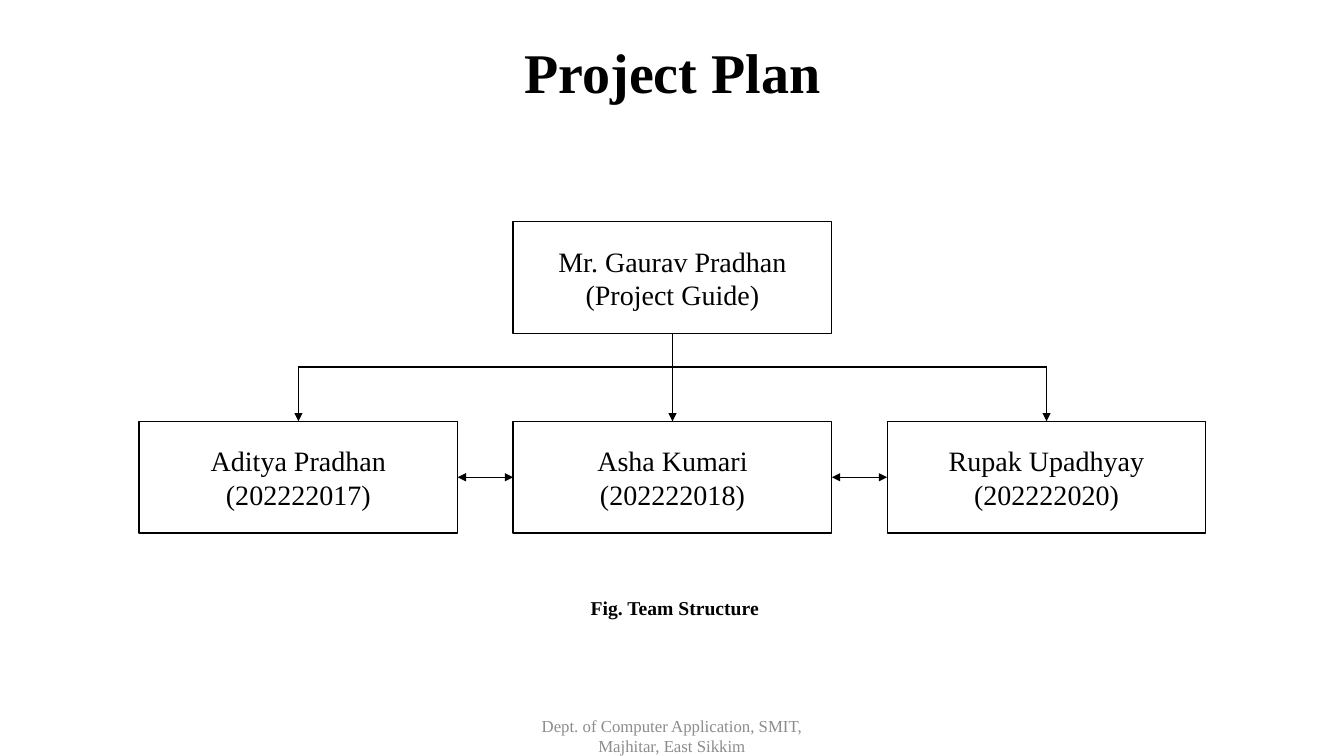
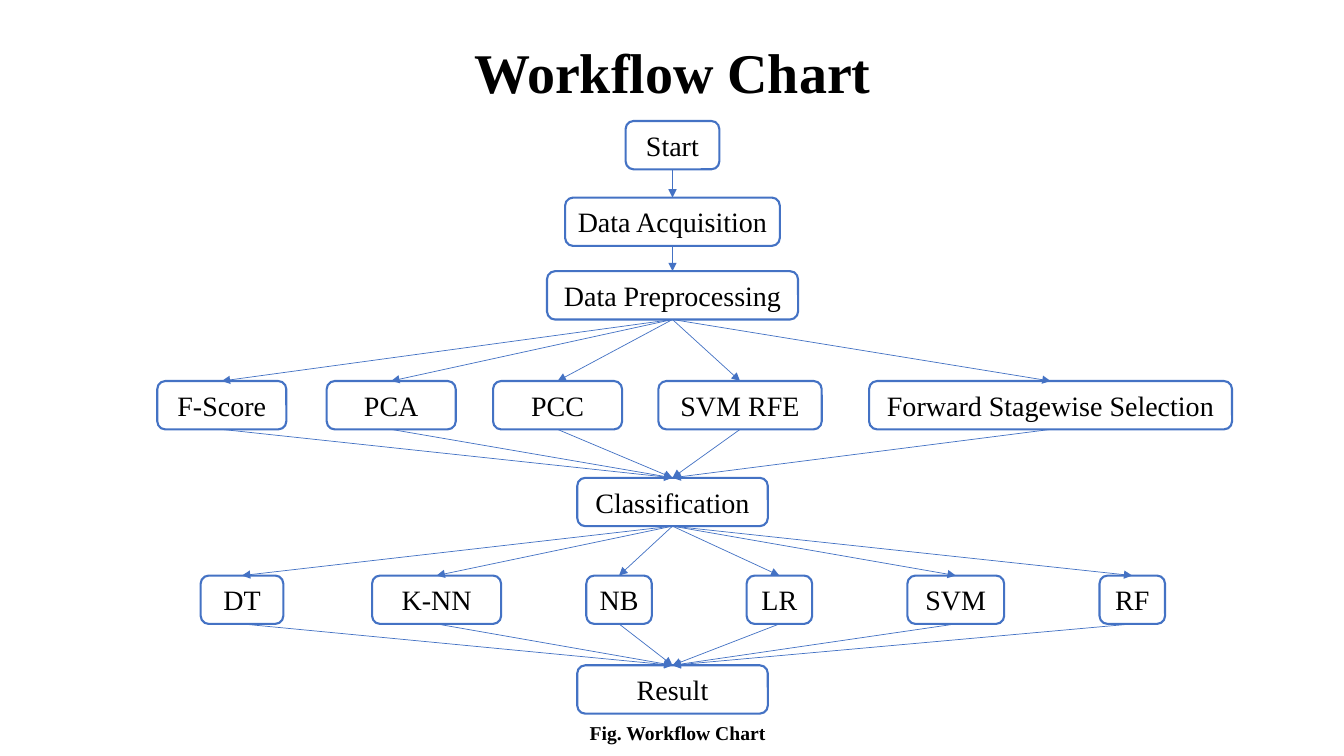
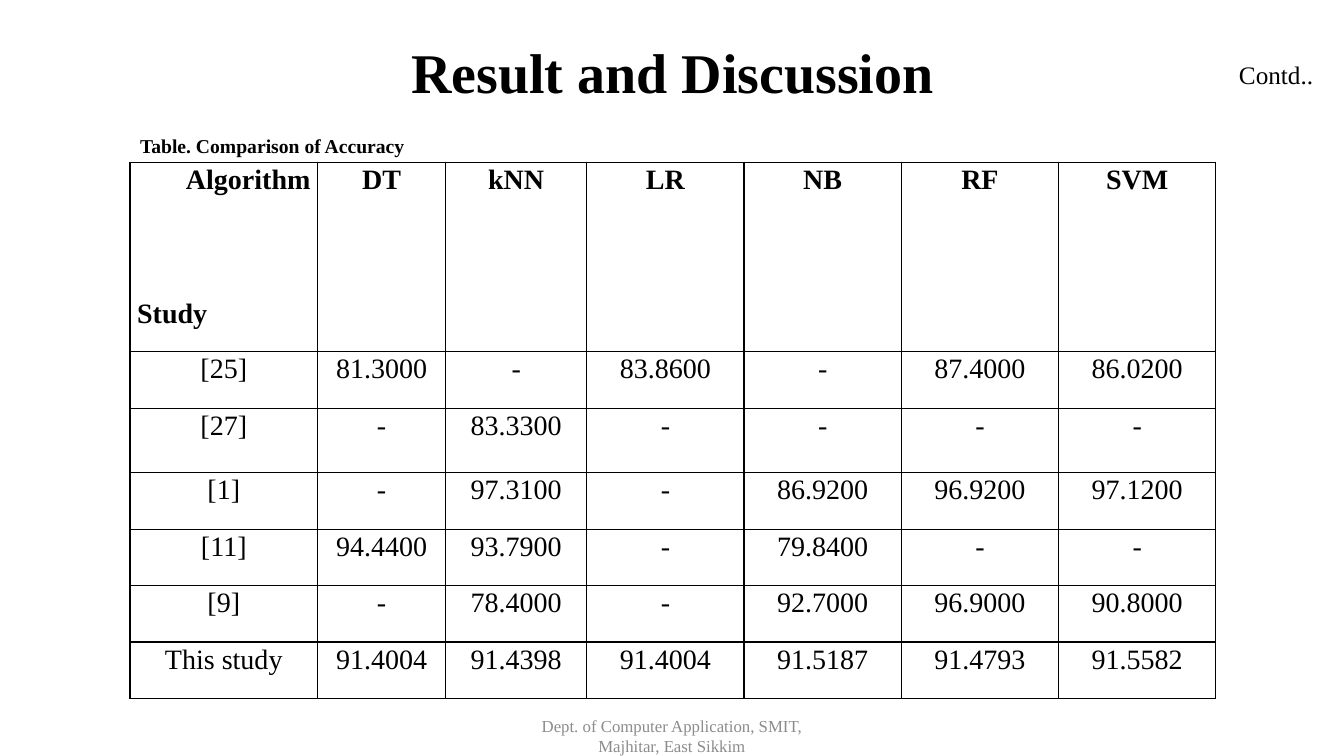
from itertools import pairwise, product

from pptx import Presentation
from pptx.dml.color import RGBColor
from pptx.enum.shapes import MSO_CONNECTOR as Link, MSO_SHAPE as Shape
from pptx.enum.text import MSO_ANCHOR as Anchor, PP_ALIGN as Align
from pptx.oxml.ns import qn
from pptx.util import Inches, Pt
from lxml.etree import SubElement

BLACK = RGBColor(0x00, 0x00, 0x00)
WHITE = RGBColor(0xFF, 0xFF, 0xFF)
BLUE = RGBColor(0x44, 0x72, 0xC4)
GREY = RGBColor(0x8C, 0x8C, 0x8C)
FONT = "Times New Roman"
TOP, LEFT, BOTTOM, RIGHT = range(4)
CENTER_X = 6.67

TITLE = {"size": Pt(40), "bold": True}
BODY = {"size": Pt(20), "bold": False}
HEAD = {"size": Pt(20), "bold": True}
CAPTION = {"size": Pt(14), "bold": True}
ASIDE = {"size": Pt(18), "bold": False}
SMALL = {"size": Pt(12), "bold": False}

FOOTER = "Dept. of Computer Application, SMIT, Majhitar, East Sikkim"

GUIDE = ["Mr. Gaurav Pradhan", "(Project Guide)"]
MEMBERS = [
    ["Aditya Pradhan", "(202222017)"],
    ["Asha Kumari", "(202222018)"],
    ["Rupak Upadhyay", "(202222020)"],
]
TEAM_WIDTH, TEAM_HEIGHT, TEAM_STEP = 3.16, 1.11, 3.71
GUIDE_TOP, BUS_Y, MEMBER_TOP = 2.2, 3.64, 4.18

STEP_HEIGHT = 0.48
LEVELS = [
    (1.2, [("Start", 6.67, 0.93)]),
    (1.96, [("Data Acquisition", 6.67, 2.13)]),
    (2.69, [("Data Preprocessing", 6.67, 2.49)]),
    (3.78, [("F-Score", 2.2, 1.28), ("PCA", 3.88, 1.28), ("PCC", 5.53, 1.28),
            ("SVM RFE", 7.34, 1.62), ("Forward Stagewise Selection", 10.42, 3.6)]),
    (4.74, [("Classification", 6.67, 1.89)]),
    (5.71, [("DT", 2.4, 0.82), ("K-NN", 4.33, 1.28), ("NB", 6.14, 0.65),
            ("LR", 7.73, 0.65), ("SVM", 9.48, 0.96), ("RF", 11.23, 0.65)]),
    (6.6, [("Result", 6.67, 1.89)]),
]

CORNER = ["Algorithm", "Study"]
ACCURACY = [
    [CORNER, "DT", "kNN", "LR", "NB", "RF", "SVM"],
    ["[25]", "81.3000", "-", "83.8600", "-", "87.4000", "86.0200"],
    ["[27]", "-", "83.3300", "-", "-", "-", "-"],
    ["[1]", "-", "97.3100", "-", "86.9200", "96.9200", "97.1200"],
    ["[11]", "94.4400", "93.7900", "-", "79.8400", "-", "-"],
    ["[9]", "-", "78.4000", "-", "92.7000", "96.9000", "90.8000"],
    ["This study", "91.4004", "91.4398", "91.4004", "91.5187", "91.4793", "91.5582"],
]
COLUMN_WIDTHS = [1.86, 1.27, 1.4] + [1.56] * 4
ROW_HEIGHTS = [1.88, 0.56, 0.64] + [0.56] * 4


def set_all(target, values):
    for name, value in values.items():
        setattr(target, name, value)


def write(frame, lines, style, color=BLACK, **layout):
    for index, line in enumerate(lines):
        para = frame.add_paragraph() if index else frame.paragraphs[0]
        set_all(para, layout)
        span = para.add_run()
        span.text = line
        set_all(span.font, {"name": FONT, **style})
        span.font.color.rgb = color


def add_text(page, place, text, style, color=BLACK, anchor=Anchor.TOP, wrap=True, **layout):
    box = page.shapes.add_textbox(*map(Inches, place))
    set_all(box.text_frame, {"word_wrap": wrap, "vertical_anchor": anchor})
    write(box.text_frame, [text], style, color, **layout)


def add_box(page, kind, center, top, width, height, lines, color, weight):
    place = (center - width / 2, top, width, height)
    box = page.shapes.add_shape(kind, *map(Inches, place))
    box.shadow.inherit = False
    box.fill.solid()
    box.fill.fore_color.rgb = WHITE
    box.line.color.rgb = color
    box.line.width = Pt(weight)
    set_all(box.text_frame, {"word_wrap": False, "vertical_anchor": Anchor.MIDDLE})
    write(box.text_frame, lines, BODY, alignment=Align.CENTER)
    return box


def add_line(page, color, start=(0, 0), end=(0, 0), begin=None, finish=None,
             weight=0.5, arrows=("tailEnd",)):
    line = page.shapes.add_connector(Link.STRAIGHT, *map(Inches, start + end))
    if begin:
        line.begin_connect(*begin)
    if finish:
        line.end_connect(*finish)
    line.line.color.rgb = color
    line.line.width = Pt(weight)
    for arrow in arrows:
        SubElement(line.line._get_or_add_ln(), qn(f"a:{arrow}"), type="triangle")
    SubElement(line._element.spPr, qn("a:effectLst"))


def add_page(deck, title, footer=True):
    page = deck.slides.add_slide(deck.slide_layouts[6])
    add_text(page, (0.92, 0.24, 11.5, 1.02), title, TITLE, anchor=Anchor.MIDDLE,
             alignment=Align.CENTER, line_spacing=0.9)
    if footer:
        add_text(page, (5.08, 7.1, 3.17, 0.4), FOOTER, SMALL, GREY, Anchor.MIDDLE,
                 alignment=Align.CENTER)
    return page


def add_borders(cell):
    props = cell._tc.get_or_add_tcPr()
    for side in "LRTB":
        edge = SubElement(props, qn(f"a:ln{side}"), w=str(Pt(1)))
        fill = SubElement(edge, qn("a:solidFill"))
        SubElement(fill, qn("a:srgbClr"), val=str(BLACK))


def build_team(deck):
    page = add_page(deck, "Project Plan")
    add_text(page, (5.76, 5.86, 2.04, 0.34), "Fig. Team Structure", CAPTION)
    size = (TEAM_WIDTH, TEAM_HEIGHT)
    guide = add_box(page, Shape.RECTANGLE, CENTER_X, GUIDE_TOP, *size, GUIDE, BLACK, 1)
    centers = [CENTER_X + offset * TEAM_STEP for offset in (-1, 0, 1)]
    members = [add_box(page, Shape.RECTANGLE, center, MEMBER_TOP, *size, lines, BLACK, 1)
               for center, lines in zip(centers, MEMBERS)]
    add_line(page, BLACK, (centers[0], BUS_Y), (centers[-1], BUS_Y), weight=1, arrows=())
    add_line(page, BLACK, end=(CENTER_X, BUS_Y), begin=(guide, BOTTOM), arrows=())
    for center, member in zip(centers, members):
        add_line(page, BLACK, start=(center, BUS_Y), finish=(member, TOP))
    for left, right in pairwise(members):
        add_line(page, BLACK, begin=(left, RIGHT), finish=(right, LEFT),
                 arrows=("headEnd", "tailEnd"))


def build_workflow(deck):
    page = add_page(deck, "Workflow Chart", footer=False)
    levels = [
        [add_box(page, Shape.ROUNDED_RECTANGLE, center, top, width, STEP_HEIGHT,
                 [label], BLUE, 1.5) for label, center, width in steps]
        for top, steps in LEVELS
    ]
    for upper, lower in pairwise(levels):
        for source, target in product(upper, lower):
            add_line(page, BLUE, begin=(source, BOTTOM), finish=(target, TOP))
    add_text(page, (5.75, 7.1, 2.07, 0.34), "Fig. Workflow Chart", CAPTION)


def build_results(deck):
    page = add_page(deck, "Result and Discussion")
    add_text(page, (12.19, 0.54, 0.94, 0.4), "Contd..", ASIDE, wrap=False)
    add_text(page, (1.29, 1.28, 2.85, 0.34), "Table. Comparison of Accuracy", CAPTION,
             wrap=False)
    place = (1.29, 1.61, sum(COLUMN_WIDTHS), sum(ROW_HEIGHTS))
    table = page.shapes.add_table(len(ROW_HEIGHTS), len(COLUMN_WIDTHS),
                                  *map(Inches, place)).table
    set_all(table, {"first_row": False, "horz_banding": False})
    for column, width in zip(table.columns, COLUMN_WIDTHS):
        column.width = Inches(width)
    for row, height in zip(table.rows, ROW_HEIGHTS):
        row.height = Inches(height)
    for y, values in enumerate(ACCURACY):
        for x, value in enumerate(values):
            cell = table.cell(y, x)
            set_all(cell, {"margin_left": Inches(0.07), "margin_right": Inches(0.07),
                           "margin_top": 0, "margin_bottom": 0})
            add_borders(cell)
            cell.fill.background()
            lines = value if value is CORNER else [value]
            write(cell.text_frame, lines, BODY if y else HEAD, alignment=Align.CENTER,
                  line_spacing=1.07, space_after=Pt(8))
    algorithm, study = table.cell(0, 0).text_frame.paragraphs
    set_all(algorithm, {"alignment": Align.RIGHT, "space_after": Pt(72)})
    study.alignment = Align.LEFT


def main():
    deck = Presentation()
    set_all(deck, {"slide_width": Inches(13.33), "slide_height": Inches(7.5)})
    for build in (build_team, build_workflow, build_results):
        build(deck)
    deck.save("out.pptx")


if __name__ == "__main__":
    main()
